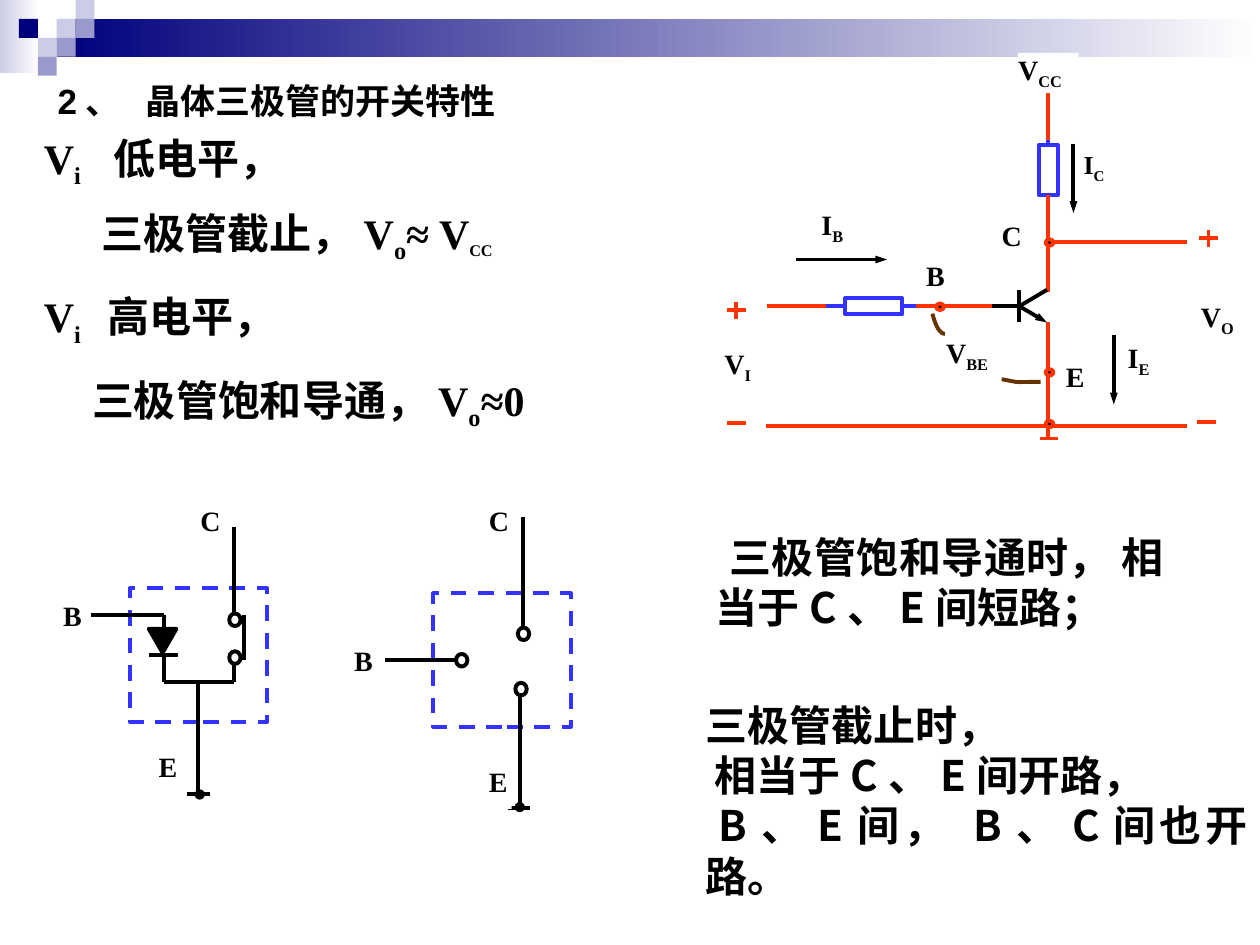
from lxml import etree
from pptx import Presentation
from pptx.dml.color import RGBColor
from pptx.enum.dml import MSO_LINE
from pptx.enum.shapes import MSO_CONNECTOR, MSO_SHAPE
from pptx.enum.text import MSO_ANCHOR, PP_ALIGN
from pptx.oxml.ns import qn
from pptx.util import Pt

RECT, OVAL, TRIANGLE = MSO_SHAPE.RECTANGLE, MSO_SHAPE.OVAL, MSO_SHAPE.ISOSCELES_TRIANGLE
STRAIGHT, DASH, JUSTIFY = MSO_CONNECTOR.STRAIGHT, MSO_LINE.DASH, PP_ALIGN.JUSTIFY
ANCHOR_TOP = MSO_ANCHOR.TOP
TOP, LEFT, BOTTOM, RIGHT = range(4)
COLORS = {"black": "000000", "white": "FFFFFF", "navy": "00007D", "pale": "CCCCE6",
          "lilac": "9999CC", "blue": "3333FF", "red": "FF3300", "brown": "663300"}
SERIF, SANS, CJK = "Times New Roman", "Arial", "Noto Sans CJK SC"
SUBSCRIPT = "-25000"


def rgb(name):
    return RGBColor.from_string(COLORS[name])


class Page:
    def __init__(self, slide, line_width=2.25):
        self.shapes = slide.shapes
        self.line_width = Pt(line_width)

    def outline(self, shape, color, dash=None):
        if color is None:
            shape.line.fill.background()
            return
        shape.line.color.rgb = rgb(color)
        shape.line.width = self.line_width
        if dash:
            shape.line.dash_style = dash

    def shape(self, kind, x, y, w, h, fill, line=None, dash=None):
        shape = self.shapes.add_shape(kind, Pt(x), Pt(y), Pt(w), Pt(h))
        shape.shadow.inherit = False
        shape.fill.solid()
        shape.fill.fore_color.rgb = rgb(fill)
        self.outline(shape, line, dash)
        return shape

    def fade(self, x, y, w, h, color):
        """Rectangle that fades from a colour on the left to white."""
        shape = self.shape(RECT, x, y, w, h, color)
        shape.fill.gradient()
        shape.fill.gradient_angle = 0
        for stop, position, name in zip(shape.fill.gradient_stops, (0, 1), (color, "white")):
            stop.position = position
            stop.color.rgb = rgb(name)

    def wire(self, x1, y1, x2, y2, color="black", arrow=False):
        wire = self.shapes.add_connector(STRAIGHT, Pt(x1), Pt(y1), Pt(x2), Pt(y2))
        self.outline(wire, color)
        properties = wire._element.spPr
        if arrow:
            line = properties.find(qn("a:ln"))
            etree.SubElement(line, qn("a:tailEnd"), type="triangle", w="sm", len="med")
        etree.SubElement(properties, qn("a:effectLst"))
        return wire

    def resistor(self, x, y, w, h, leads):
        """Body with leads given as (side, x1, y1, x2, y2)."""
        body = self.shape(RECT, x, y, w, h, "white", "blue")
        for side, *ends in leads:
            self.wire(*ends, "blue").begin_connect(body, side)

    def sign(self, x, y, plus):
        """Polarity mark starting at x, centred on y."""
        self.wire(x, y, x + 10.8, y, "red")
        if plus:
            self.wire(x + 5.2, y - 4.6, x + 5.2, y + 5, "red")

    def curve(self, *points):
        """Cubic Bezier through four control points, drawn as short chords."""
        steps = 16
        chords = []
        for step in range(steps + 1):
            t = step / steps
            weights = ((1 - t) ** 3, 3 * t * (1 - t) ** 2, 3 * t * t * (1 - t), t ** 3)
            chords.append(tuple(Pt(sum(k * p[axis] for k, p in zip(weights, points)))
                                for axis in (0, 1)))
        builder = self.shapes.build_freeform(*chords[0])
        builder.add_line_segments(chords[1:], close=False)
        shape = builder.convert_to_shape()
        shape.shadow.inherit = False
        shape.fill.background()
        self.outline(shape, "brown")

    def para(self, para, spans, size, font, before=0, indent=0, tab=0):
        """Fill a paragraph; each span is text or (text, font, is_subscript[, size])."""
        para.alignment = JUSTIFY
        para.space_before = Pt(before)
        properties = para._p.get_or_add_pPr()
        properties.set("hangingPunct", "0")
        if indent:
            properties.set("indent", str(Pt(indent)))
        if tab:
            tabs = etree.SubElement(properties, qn("a:tabLst"))
            etree.SubElement(tabs, qn("a:tab"), pos=str(Pt(tab)), algn="l")
        para.font.size, para.font.bold, para.font.name = Pt(size), True, font
        para.font.color.rgb = rgb("black")
        etree.SubElement(para.font._element, qn("a:ea"), typeface=CJK)
        for item in spans:
            text, face, lowered, *own_size = (item, font, False) if isinstance(item, str) else item
            span = para.add_run()
            span.text = text
            if face != font:
                span.font.name = face
            if lowered:
                span.font._element.set("baseline", SUBSCRIPT)
            if own_size:
                span.font.size = Pt(own_size[0])

    def label(self, text, x, y, w, h, size=16):
        """White label; what follows an underscore is subscript."""
        frame = self.shape(RECT, x, y, w, h, "white").text_frame
        frame.word_wrap = True
        frame.margin_left = frame.margin_right = frame.margin_top = frame.margin_bottom = 0
        frame.vertical_anchor = ANCHOR_TOP
        main, _, sub = text.partition("_")
        self.para(frame.paragraphs[0], [main] + ([(sub, SERIF, True)] if sub else []), size, SERIF)

    def text(self, x, y, w, h, paras, size, font):
        frame = self.shapes.add_textbox(Pt(x), Pt(y), Pt(w), Pt(h)).text_frame
        frame.word_wrap = True
        for number, (spans, layout) in enumerate(paras):
            para = frame.add_paragraph() if number else frame.paragraphs[0]
            self.para(para, spans, size, font, **layout)


def draw_header(page):
    page.fade(0, 0, 22.3, 41.8, "pale")
    page.fade(32.4, 10.8, 687.6, 21.6, "navy")
    cell = 10.8
    for column, row, color in ((3, 1, "pale"), (4, 0, "pale"), (4, 1, "lilac"), (2, 2, "pale"),
                               (1, 1, "navy"), (3, 2, "lilac"), (2, 3, "lilac")):
        page.shape(RECT, column * cell, row * cell, cell, cell, color)


def draw_switch_models(page):
    for x, y in ((247.7, 339.1), (74.2, 336.2)):
        page.shape(RECT, x, y, 78.5, 76.3, "white", "blue", DASH)
    page.shape(TRIANGLE, 85, 359.3, 15.8, 13.7, "black", "black").rotation = 180
    for ends in ((298.8, 295.2, 298.8, 359.3), (297.4, 396.7, 297.4, 460.1),
                 (290.2, 461.5, 303.1, 461.5), (262.1, 377.3, 220.3, 377.3),
                 (93.6, 360, 93.6, 351.4), (93.6, 374.4, 93.6, 389.5),
                 (101.5, 374.4, 85, 374.4), (93.6, 389.5, 133.9, 389.5),
                 (133.9, 389.5, 133.9, 377.3), (133.9, 351.4, 133.9, 301),
                 (139.7, 351.4, 139.7, 377.3), (113, 389.5, 113, 453.6),
                 (106.6, 453.6, 120.2, 453.6), (93.6, 351.4, 51.8, 351.4)):
        page.wire(*ends)
    for x, y in ((260.6, 373.7), (295.9, 358.6), (294.5, 390.2), (131, 350.6), (131, 372.2)):
        page.shape(OVAL, x, y, 6.5, 7.2, "white", "black")
    for text, x, y, h in (("B", 202.3, 367.9, 38.2), ("C", 279.4, 288, 25.2),
                          ("E", 279.4, 437, 25.2), ("B", 36, 342, 38.2),
                          ("C", 114.5, 288, 25.2), ("E", 90.7, 428.4, 25.2)):
        page.label(text, x, y, 13, h)
    for x, y in ((112.3, 452.2), (295.2, 459.4)):
        page.shape(OVAL, x, y, 3.6, 3.6, "black", "black")


def draw_amplifier(page):
    for text, x, y, w in (("V_CC", 581.8, 30.2, 34.6), ("V_I", 414, 198, 33.8),
                          ("V_O", 686.2, 171.4, 33.8), ("I_B", 469.4, 118.8, 51.1),
                          ("V_BE", 540.7, 191.5, 51.1), ("B", 529.2, 147.6, 17.3),
                          ("E", 609.1, 205.2, 17.3), ("C", 572.4, 124.6, 17.3),
                          ("I_E", 644.4, 194.4, 33.8)):
        page.label(text, x, y, w, 26)
    page.label("I_C", 619.2, 85, 18.7, 20.9, size=14.8)
    page.wire(438.5, 175, 489.6, 175, "red")
    page.resistor(483.1, 170.3, 32.4, 9.4, ((LEFT, 483.1, 175, 472.3, 175),
                                            (RIGHT, 515.5, 175, 526.4, 175)))
    page.resistor(593.6, 82.8, 10.8, 28.8, ((BOTTOM, 599, 111.6, 599, 121.7),
                                            (TOP, 599, 82.8, 599, 73.4)))
    for ends in ((523.4, 175, 574.6, 175), (599, 167, 599, 140.4), (599, 184.3, 599, 251.3),
                 (599, 164.2, 599, 111.6), (599, 79.9, 599, 53.3), (594, 250.6, 604.8, 250.6),
                 (599.8, 138.2, 678.2, 138.2), (437.8, 243.4, 678.2, 243.4)):
        page.wire(*ends, "red")
    for ends in ((582.5, 175, 598.3, 165.6), (582.5, 165.6, 582.5, 184.3),
                 (582.5, 175, 566.6, 175)):
        page.wire(*ends)
    for ends in ((582.5, 175, 598.3, 184.3), (613.4, 82.1, 613.4, 121.7),
                 (455, 148.3, 506.9, 148.3), (636.5, 191.5, 636.5, 231.1)):
        page.wire(*ends, arrow=True)
    for x, y, plus in ((415.4, 177.1, True), (415.4, 241.9, False),
                       (685.4, 136.1, True), (684, 241.2, False)):
        page.sign(x, y, plus)
    page.curve((532.8, 179.3), (533.5, 181.4), (535.7, 190.8), (540, 190.8))
    page.curve((572.4, 216.7), (584.6, 218.9), (576.7, 218.2), (594.7, 218.2))
    for x, y in ((597.6, 240.5), (597.6, 136.8), (535, 173.5), (597.6, 211)):
        page.shape(OVAL, x, y, 4.3, 3.6, "black", "red")


def write_text(page):
    page.text(25.9, 41.8, 463.7, 31.7, [(["2、\t晶体三极管的开关特性"], {"tab": 50})], 20, SANS)
    page.text(18, 72, 401.8, 178.6, [
        (["V", ("i", SERIF, True), ("\t低电平，", SANS, False)], {"tab": 40}),
        ([("三极管截止，", SANS, False), "V", ("o", SERIF, True), "≈ V", ("CC", SERIF, True, 16)],
         {"before": 10, "indent": 33}),
        (["V", ("i", SERIF, True), ("\t高电平，", SANS, False)], {"before": 15, "tab": 36.5}),
        ([("三极管饱和导通，", SANS, False), "V", ("o", SERIF, True), "≈0"],
         {"before": 15, "indent": 27.5}),
    ], 24, SERIF)
    page.text(401.8, 300.2, 270, 64.8,
              [(["三极管饱和导通时， 相当于C、E间短路；"], {"indent": 8})], 24, CJK)
    page.text(396, 396, 324, 93.6, [([line], {}) for line in (
        "三极管截止时，", " 相当于C、E间开路，", " B、E间， B、C间也开路。")], 24, CJK)


def main():
    deck = Presentation()
    deck.slide_width, deck.slide_height = Pt(720), Pt(540)
    page = Page(deck.slides.add_slide(deck.slide_layouts[6]))
    draw_header(page)
    draw_switch_models(page)
    draw_amplifier(page)
    write_text(page)
    deck.save("out.pptx")


if __name__ == "__main__":
    main()
